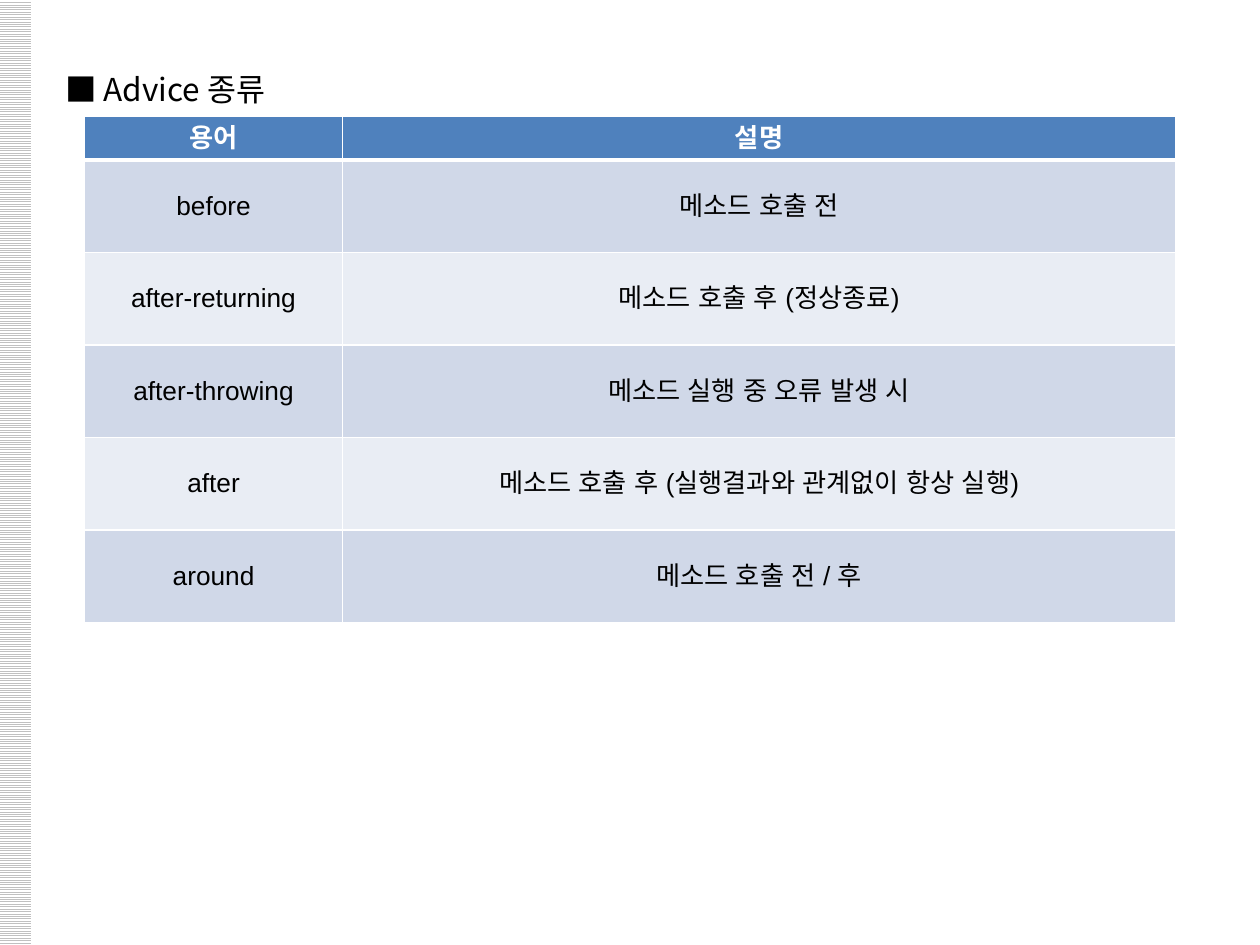
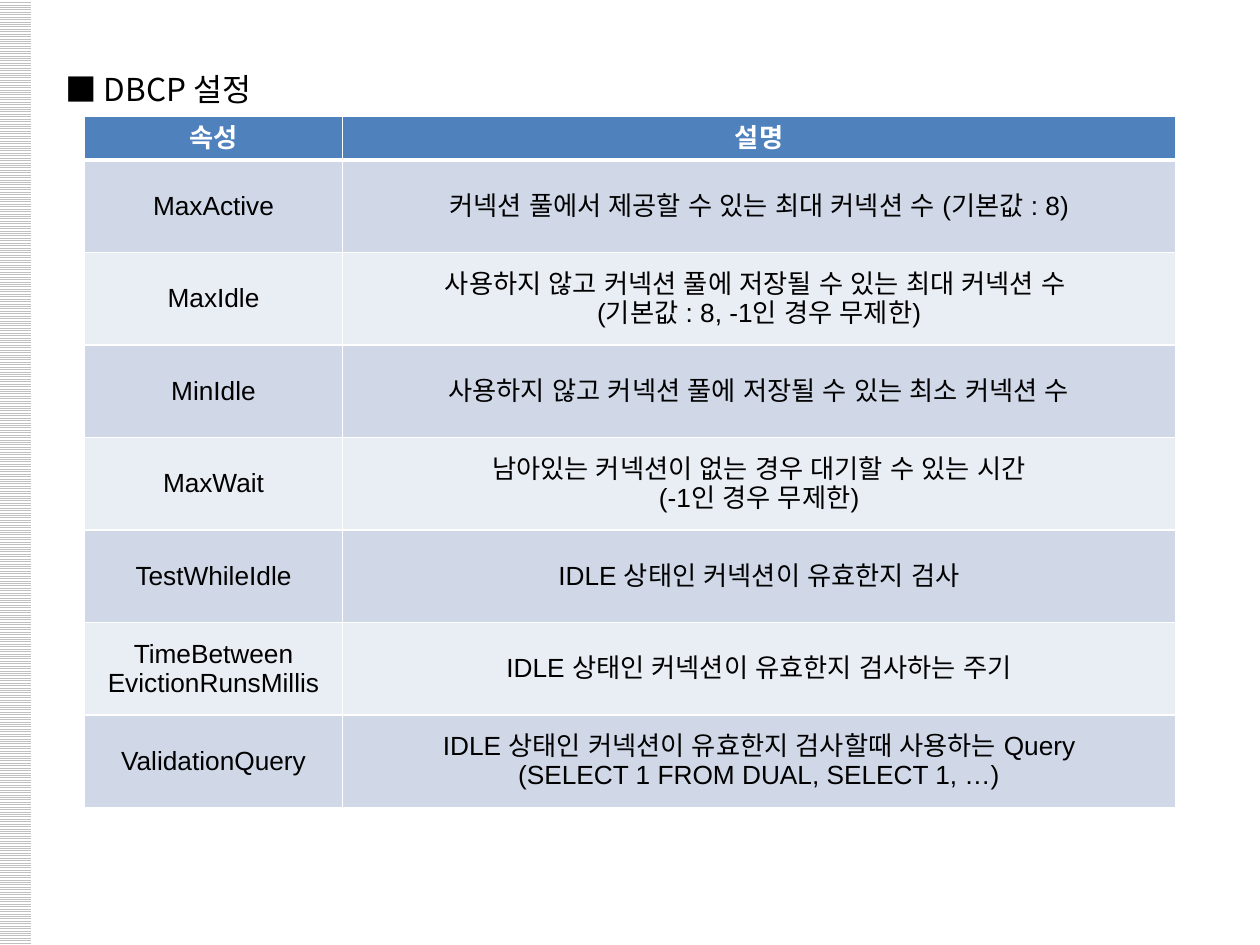
from dataclasses import dataclass

from lxml.etree import SubElement
from pptx import Presentation
from pptx.dml.color import RGBColor
from pptx.enum.dml import MSO_PATTERN_TYPE as Pattern
from pptx.enum.shapes import MSO_SHAPE as Shape
from pptx.enum.text import MSO_ANCHOR as Anchor, MSO_AUTO_SIZE as AutoSize, PP_ALIGN as Align
from pptx.oxml.ns import qn
from pptx.util import Inches, Pt


@dataclass(frozen=True)
class Theme:
    white: str = "FFFFFF"
    black: str = "000000"
    stripe: str = "C0C0C0"
    header: str = "4F81BD"
    bands: tuple = ("D0D8E8", "E9EDF4")
    title_font: str = "Noto Sans CJK KR"
    table_font: str = "Arial"
    title_size: int = 18
    table_size: int = 15
    border: int = 1
    header_rule: int = 3


ADVICE_ROWS = [
    ("용어", "설명"),
    ("before", "메소드 호출 전"),
    ("after-returning", "메소드 호출 후 (정상종료)"),
    ("after-throwing", "메소드 실행 중 오류 발생 시"),
    ("after", "메소드 호출 후 (실행결과와 관계없이 항상 실행)"),
    ("around", "메소드 호출 전 / 후"),
]
DBCP_ROWS = [
    ("속성", "설명"),
    ("MaxActive", "커넥션 풀에서 제공할 수 있는 최대 커넥션 수 (기본값 : 8)"),
    ("MaxIdle", "사용하지 않고 커넥션 풀에 저장될 수 있는 최대 커넥션 수 \n(기본값 : 8, -1인 경우 무제한)"),
    ("MinIdle", "사용하지 않고 커넥션 풀에 저장될 수 있는 최소 커넥션 수"),
    ("MaxWait", "남아있는 커넥션이 없는 경우 대기할 수 있는 시간\n(-1인 경우 무제한)"),
    ("TestWhileIdle", "IDLE 상태인 커넥션이 유효한지 검사"),
    ("TimeBetween\nEvictionRunsMillis", "IDLE 상태인 커넥션이 유효한지 검사하는 주기"),
    ("ValidationQuery",
     "IDLE 상태인 커넥션이 유효한지 검사할때 사용하는 Query\n(SELECT 1 FROM DUAL, SELECT 1, …)"),
]


class Deck:
    def __init__(self, theme):
        self.theme = theme
        self.prs = Presentation()
        self.prs.slide_width, self.prs.slide_height = Inches(10), Inches(7.5)
        self.s = None

    def add_slide(self, title, title_width, rows):
        self.s = self.prs.slides.add_slide(self.prs.slide_layouts[6])
        self.side_band()
        self.title(title, title_width)
        self.table(rows)

    def side_band(self):
        sp = self.s.shapes.add_shape(Shape.RECTANGLE, Inches(-0.01), 0, Inches(0.26), Inches(7.5))
        sp.shadow.inherit = False
        sp.line.fill.background()
        sp.fill.patterned()
        sp.fill.pattern = Pattern.LIGHT_HORIZONTAL
        sp.fill.fore_color.rgb = RGBColor.from_string(self.theme.stripe)
        sp.fill.back_color.rgb = RGBColor.from_string(self.theme.white)

    def title(self, text, width):
        t = self.theme
        box = self.s.shapes.add_textbox(Inches(0.42), Inches(0.36), Inches(width), Inches(0.56))
        tf = box.text_frame
        tf.word_wrap = False
        tf.auto_size = AutoSize.SHAPE_TO_FIT_TEXT
        p = tf.paragraphs[0]
        p.line_spacing = 1.5
        self.run(p, text, t.black, name=t.title_font, size=Pt(t.title_size))

    def run(self, p, text, color, **formats):
        r = p.add_run()
        r.text = text
        for key, value in formats.items():
            setattr(r.font, key, value)
        r.font.color.rgb = RGBColor.from_string(color)
        SubElement(r.font._element, qn("a:ea"), typeface=formats["name"])

    def table(self, rows):
        t = self.theme
        heights = [0.24] + [0.734] * (len(rows) - 1)
        frame = self.s.shapes.add_table(len(rows), 2, Inches(0.67), Inches(0.92),
                                        Inches(8.66), Inches(sum(heights)))
        table = frame.table
        for column, width in zip(table.columns, (2.05, 6.61)):
            column.width = Inches(width)
        for i, (texts, height) in enumerate(zip(rows, heights)):
            table.rows[i].height = Inches(height)
            fill = t.bands[(i - 1) % 2] if i else t.header
            for j, text in enumerate(texts):
                self.cell(table.cell(i, j), text, fill, i)

    def cell(self, cell, text, fill, row):
        t = self.theme
        is_header = row == 0
        cell.vertical_anchor = Anchor.MIDDLE
        for k, line in enumerate(text.split("\n")):
            tf = cell.text_frame
            p = tf.add_paragraph() if k else tf.paragraphs[0]
            p.alignment = Align.CENTER
            self.run(p, line, t.white if is_header else t.black,
                     name=t.table_font, size=Pt(t.table_size), bold=is_header)
        self.borders(cell, {
            "L": t.border, "R": t.border,
            "T": t.header_rule if row == 1 else t.border,
            "B": t.header_rule if is_header else t.border,
        })
        cell.fill.solid()
        cell.fill.fore_color.rgb = RGBColor.from_string(fill)

    def borders(self, cell, widths):
        """Draw white cell edges; widths maps L, R, T, B to points."""
        tc_pr = cell._tc.get_or_add_tcPr()
        for side, width in widths.items():
            ln = SubElement(tc_pr, qn(f"a:ln{side}"), w=str(Pt(width)))
            SubElement(SubElement(ln, qn("a:solidFill")), qn("a:srgbClr"), val=self.theme.white)


def main():
    deck = Deck(Theme())
    deck.add_slide("■ Advice 종류", 1.9, ADVICE_ROWS)
    deck.add_slide("■ DBCP 설정", 1.77, DBCP_ROWS)
    deck.prs.save("out.pptx")


if __name__ == "__main__":
    main()
